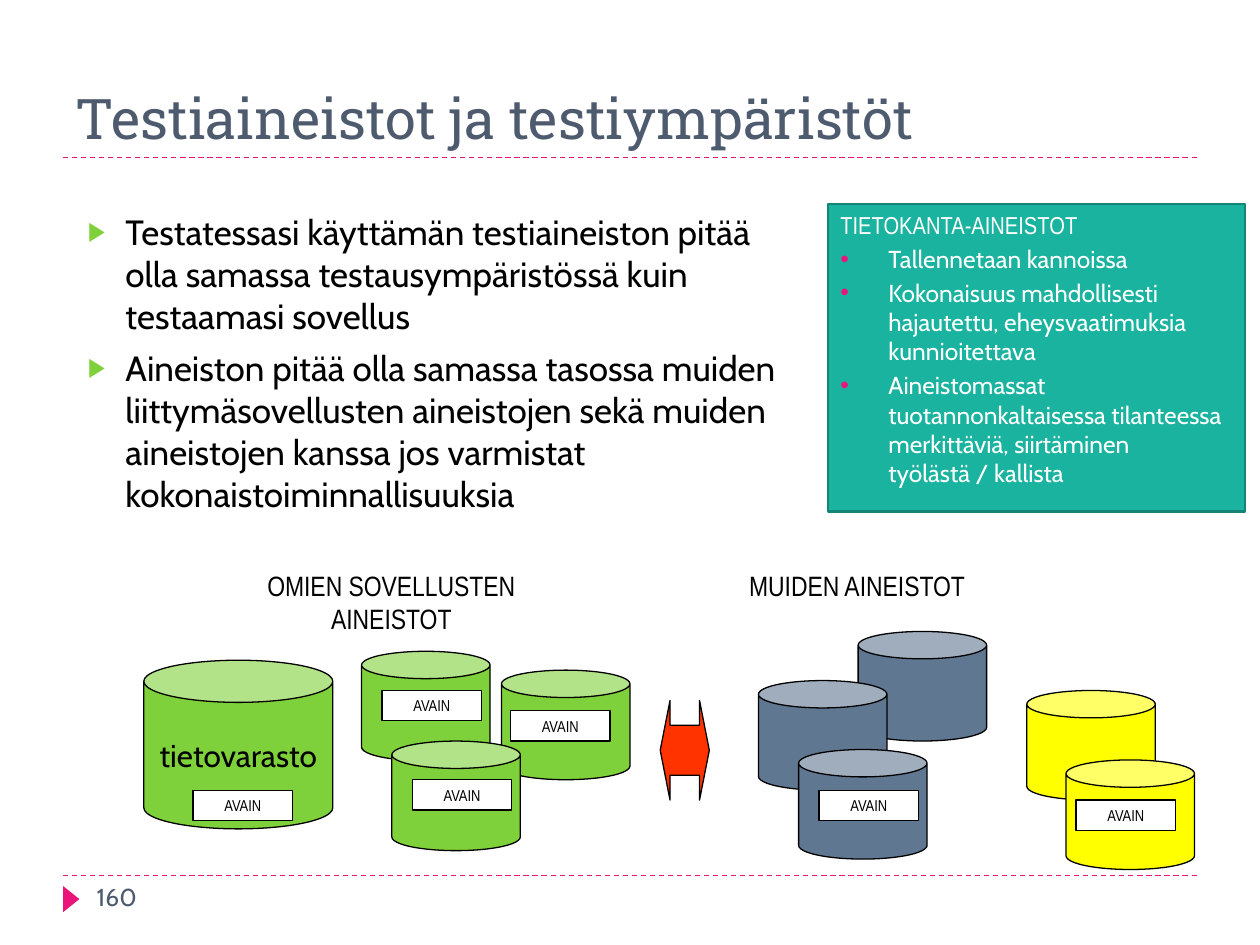
from lxml.etree import SubElement
from pptx import Presentation
from pptx.dml.color import RGBColor
from pptx.enum.dml import MSO_LINE
from pptx.enum.shapes import MSO_CONNECTOR, MSO_SHAPE
from pptx.enum.text import MSO_ANCHOR, PP_ALIGN
from pptx.oxml.ns import qn
from pptx.util import Cm, Pt

BLACK = RGBColor(0x00, 0x00, 0x00)
WHITE = RGBColor(0xFF, 0xFF, 0xFF)
PINK = RGBColor(0xEA, 0x15, 0x7A)
HEADING = RGBColor(0x4E, 0x5B, 0x6F)
GREEN = RGBColor(0x7F, 0xD1, 0x3B)
SLATE = RGBColor(0x5F, 0x77, 0x91)
YELLOW = RGBColor(0xFF, 0xFF, 0x00)
RED = RGBColor(0xFF, 0x33, 0x00)
TEAL = RGBColor(0x1A, 0xB3, 0x9F)
DARK_TEAL = RGBColor(0x13, 0x84, 0x76)

SERIF, SANS, NARROW = "Roboto Slab", "Cabin", "Arial Narrow"

STORE_SIZE = (2.59, 2.21)
KEY_SIZE = (2.01, 0.61)

# Left and top of each data store, back to front
STORES = [
    (SLATE, [(17.3, 12.73), (15.29, 13.72), (16.1, 15.11)]),
    (GREEN, [(7.29, 13.13), (10.11, 13.51), (7.9, 14.94)]),
    (YELLOW, [(20.7, 13.92), (21.49, 15.32)]),
]
KEYS = [(3.89, 15.93), (8.31, 15.72), (7.7, 13.92),
        (10.29, 14.33), (16.51, 15.93), (21.69, 16.13)]

REQUIREMENTS = [
    "Testatessasi käyttämän testiaineiston pitää olla samassa "
    "testausympäristössä kuin testaamasi sovellus",
    "Aineiston pitää olla samassa tasossa muiden liittymäsovellusten "
    "aineistojen sekä muiden aineistojen kanssa jos varmistat "
    "kokonaistoiminnallisuuksia",
]
DATABASE_POINTS = [
    "Tallennetaan kannoissa",
    "Kokonaisuus mahdollisesti hajautettu, eheysvaatimuksia kunnioitettava",
    "Aineistomassat tuotannonkaltaisessa tilanteessa merkittäviä, "
    "siirtäminen työlästä / kallista",
]


def add_text(paragraph, text, font, size, color, align=PP_ALIGN.LEFT):
    paragraph.alignment = align
    run = paragraph.add_run()
    run.text = text
    run.font.name = font
    run.font.size = Pt(size)
    run.font.color.rgb = color


def set_bullet(paragraph, symbol, color, indent, percent=100):
    properties = paragraph._p.get_or_add_pPr()
    properties.set("marL", str(Cm(indent)))
    properties.set("indent", str(-Cm(indent)))
    bullet_color = SubElement(properties, qn("a:buClr"))
    SubElement(bullet_color, qn("a:srgbClr"), val=str(color))
    SubElement(properties, qn("a:buSzPct"), val=str(percent * 1000))
    SubElement(properties, qn("a:buFont"), typeface="Arial")
    SubElement(properties, qn("a:buChar"), char=symbol)


def add_textbox(slide, left, top, width, height, anchor=MSO_ANCHOR.TOP):
    box = slide.shapes.add_textbox(Cm(left), Cm(top), Cm(width), Cm(height))
    frame = box.text_frame
    frame.word_wrap = True
    frame.vertical_anchor = anchor
    return frame


def add_figure(slide, kind, left, top, width, height, fill,
               outline=BLACK, weight=0.75):
    figure = slide.shapes.add_shape(kind, Cm(left), Cm(top), Cm(width), Cm(height))
    figure.shadow.inherit = False
    figure.fill.solid()
    figure.fill.fore_color.rgb = fill
    if outline is None:
        figure.line.fill.background()
    else:
        figure.line.color.rgb = outline
        figure.line.width = Pt(weight)
    return figure


def add_caption(figure, text, font, size):
    frame = figure.text_frame
    frame.word_wrap = False
    frame.vertical_anchor = MSO_ANCHOR.MIDDLE
    add_text(frame.paragraphs[0], text, font, size, BLACK, PP_ALIGN.CENTER)


def add_dashed_rule(slide, y):
    rule = slide.shapes.add_connector(
        MSO_CONNECTOR.STRAIGHT, Cm(1.27), Cm(y), Cm(24.13), Cm(y))
    rule.line.color.rgb = PINK
    rule.line.width = Pt(0.75)
    rule.line.dash_style = MSO_LINE.DASH
    SubElement(rule._element.spPr, qn("a:effectLst"))


def add_requirements(slide):
    frame = add_textbox(slide, 1.52, 4.11, 14.78, 11.4)
    for i, text in enumerate(REQUIREMENTS):
        paragraph = frame.add_paragraph() if i else frame.paragraphs[0]
        set_bullet(paragraph, "▶", GREEN, 0.76, 76)
        if i:
            paragraph.space_before = Pt(6)
        add_text(paragraph, text, SANS, 20, BLACK)


def add_database_panel(slide):
    panel = add_figure(slide, MSO_SHAPE.RECTANGLE, 16.69, 4.11, 8.41, 6.2,
                       TEAL, DARK_TEAL, 1.5)
    frame = panel.text_frame
    frame.word_wrap = True
    frame.vertical_anchor = MSO_ANCHOR.TOP
    add_text(frame.paragraphs[0], "TIETOKANTA-AINEISTOT", NARROW, 14, WHITE)
    for text in DATABASE_POINTS:
        paragraph = frame.add_paragraph()
        set_bullet(paragraph, "•", PINK, 0.97)
        paragraph.space_before = Pt(2.5)
        add_text(paragraph, text, SANS, 14, WHITE)


def add_data_stores(slide):
    # Group headings
    for left, height, text in [(3.89, 1.63, "OMIEN SOVELLUSTEN AINEISTOT"),
                               (13.28, 0.94, "MUIDEN AINEISTOT")]:
        heading = add_textbox(slide, left, 11.33, 8, height)
        add_text(heading.paragraphs[0], text, NARROW, 16, BLACK, PP_ALIGN.CENTER)

    # Data warehouse and smaller stores
    warehouse = add_figure(slide, MSO_SHAPE.CAN, 2.9, 13.31, 3.81, 3.4, GREEN)
    add_caption(warehouse, "tietovarasto", SANS, 18)
    for color, places in STORES:
        for left, top in places:
            add_figure(slide, MSO_SHAPE.CAN, left, top, *STORE_SIZE, color)

    # Key labels
    for left, top in KEYS:
        key = add_figure(slide, MSO_SHAPE.RECTANGLE, left, top, *KEY_SIZE, WHITE)
        add_caption(key, "AVAIN", NARROW, 9)

    # Exchange between own and other data
    exchange = add_figure(slide, MSO_SHAPE.LEFT_RIGHT_ARROW,
                          13.31, 14.12, 0.99, 2.01, RED)
    exchange.adjustments[0] = 0.5
    exchange.adjustments[1] = 0.2


def add_footer(slide):
    add_dashed_rule(slide, 17.65)
    marker = add_figure(slide, MSO_SHAPE.ISOSCELES_TRIANGLE,
                        1.17, 17.96, 0.53, 0.33, PINK, None)
    marker.rotation = 90
    number = add_textbox(slide, 1.7, 17.65, 5.51, 1.02)
    add_text(number.paragraphs[0], "160", SANS, 14, HEADING)


def main():
    presentation = Presentation()
    presentation.slide_width = Cm(25.4)
    presentation.slide_height = Cm(19.05)
    slide = presentation.slides.add_slide(presentation.slide_layouts[6])

    # Title
    add_dashed_rule(slide, 3.18)
    title = add_textbox(slide, 1.27, 0.43, 22.86, 2.74, MSO_ANCHOR.BOTTOM)
    add_text(title.paragraphs[0], "Testiaineistot ja testiympäristöt",
             SERIF, 32, HEADING)

    add_footer(slide)
    add_requirements(slide)
    add_data_stores(slide)
    add_database_panel(slide)
    presentation.save("out.pptx")


if __name__ == "__main__":
    main()
